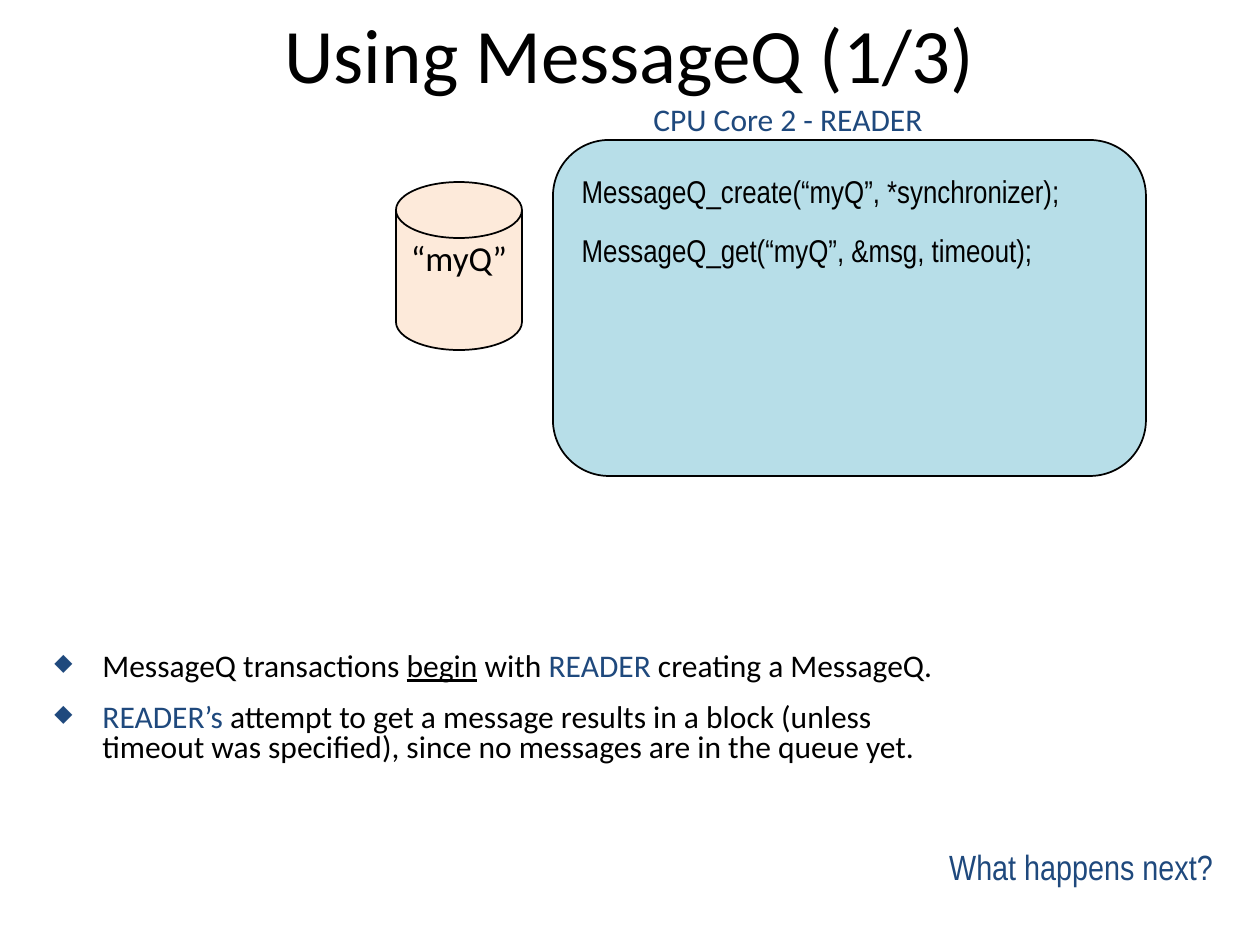
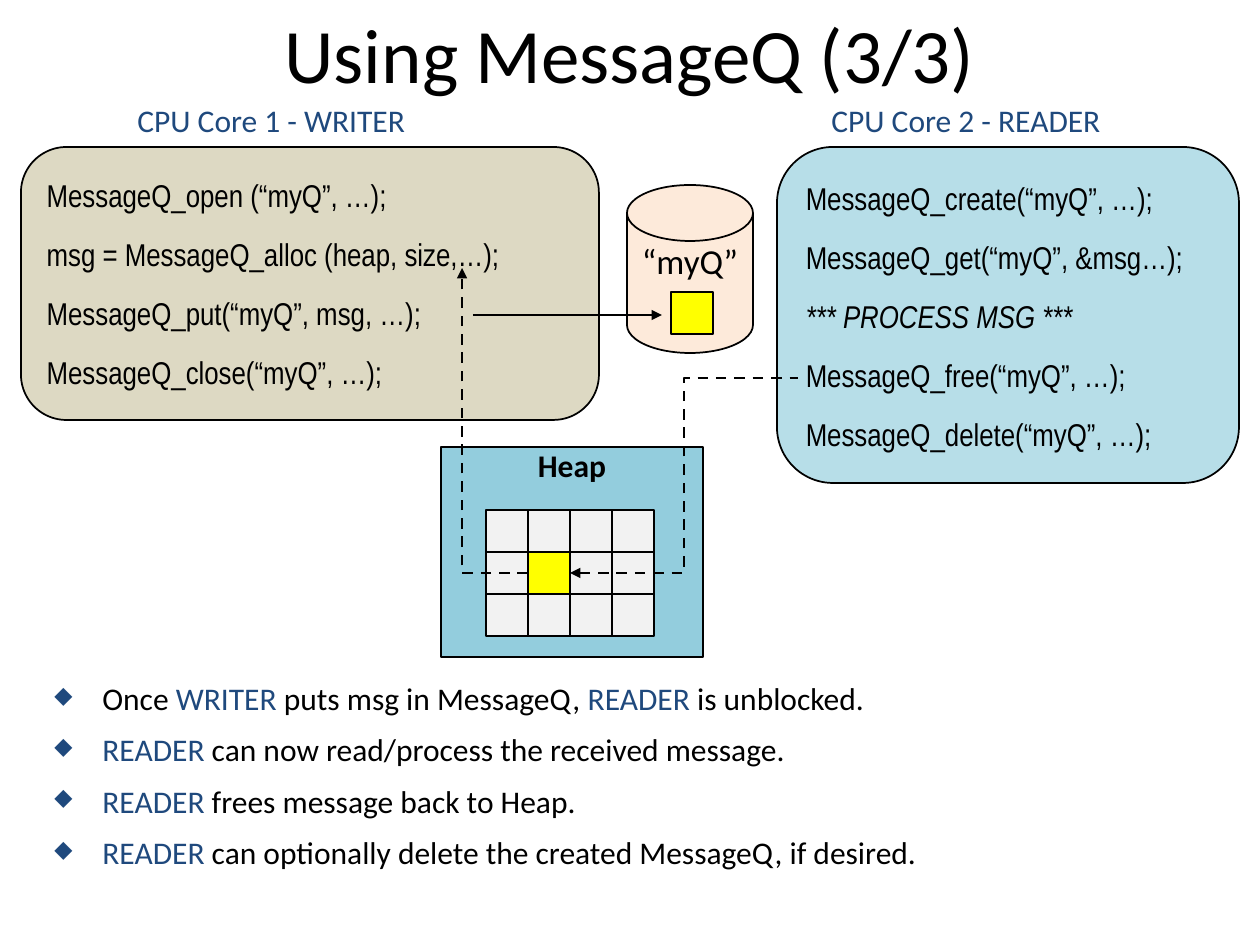
import itertools

import pptx
import pptx.dml.color
import pptx.enum.dml
import pptx.enum.shapes
import pptx.enum.text
import pptx.oxml
import pptx.oxml.ns
import pptx.util

RGBColor = pptx.dml.color.RGBColor
SHAPE = pptx.enum.shapes.MSO_SHAPE
CONNECTOR = pptx.enum.shapes.MSO_CONNECTOR
ALIGN = pptx.enum.text.PP_ALIGN
ANCHOR = pptx.enum.text.MSO_ANCHOR

EMU_PER_PX = 914400 / 126
SLIDE_WIDTH, SLIDE_HEIGHT = 1260, 945

BLACK = RGBColor(0x00, 0x00, 0x00)
NAVY = RGBColor(0x1F, 0x49, 0x7D)
READER_BLUE = RGBColor(0xB7, 0xDE, 0xE8)
WRITER_TAN = RGBColor(0xDD, 0xD9, 0xC3)
QUEUE_PEACH = RGBColor(0xFD, 0xEA, 0xDA)
HEAP_BLUE = RGBColor(0x93, 0xCD, 0xDD)
FREE_GREY = RGBColor(0xF2, 0xF2, 0xF2)
MESSAGE_YELLOW = RGBColor(0xFF, 0xFF, 0x00)

BODY_FONT = "Calibri"
CODE_FONT = "Arial Narrow"
TIGHT = 0.8
CELL = 42
BULLET_INDENT = 48

WRITER_NAME = "CPU Core 1 - WRITER"
READER_NAME = "CPU Core 2 - READER"
ROLES = ("READER", "READER’s", "WRITER")
UNDERLINED = ("begin",)
PROCESSING = "*** PROCESS MSG ***"


def px(length):
    return pptx.util.Emu(round(length * EMU_PER_PX))


def style(paragraph, size, color=BLACK, font=BODY_FONT, bold=None, italic=None):
    paragraph.font.name = font
    paragraph.font.size = pptx.util.Pt(size)
    paragraph.font.color.rgb = color
    paragraph.font.bold = bold
    paragraph.font.italic = italic


def add_text_box(slide, box, anchor):
    frame = slide.shapes.add_textbox(*map(px, box)).text_frame
    frame.word_wrap = True
    frame.vertical_anchor = anchor
    return frame


def add_line_of_text(slide, box, text, size, color=BLACK, align=ALIGN.LEFT):
    frame = add_text_box(slide, box, ANCHOR.MIDDLE)
    paragraph = frame.paragraphs[0]
    paragraph.text = text
    paragraph.alignment = align
    style(paragraph, size, color)


def add_block(slide, kind, box, fill, line_width=1):
    block = slide.shapes.add_shape(kind, *map(px, box))
    block.shadow.inherit = False
    block.fill.solid()
    block.fill.fore_color.rgb = fill
    block.line.color.rgb = BLACK
    block.line.width = pptx.util.Pt(line_width)
    return block


def add_caption(block, text, size, bold=None):
    frame = block.text_frame
    frame.vertical_anchor = ANCHOR.TOP
    paragraph = frame.paragraphs[0]
    paragraph.text = text
    paragraph.alignment = ALIGN.CENTER
    paragraph.line_spacing = TIGHT
    style(paragraph, size, bold=bold)


def add_arrow(slide, kind, begin, end, arrow_end="tailEnd", dashed=False):
    arrow = slide.shapes.add_connector(kind, *map(px, begin + end))
    arrow.line.color.rgb = BLACK
    arrow.line.width = pptx.util.Pt(1.5)
    if dashed:
        arrow.line.dash_style = pptx.enum.dml.MSO_LINE.DASH
    properties = arrow._element.spPr
    outline = properties.find(pptx.oxml.ns.qn("a:ln"))
    outline.append(drawing_element(f'{arrow_end} type="triangle"'))
    properties.append(drawing_element("effectLst"))
    return arrow


def drawing_element(tag):
    return pptx.oxml.parse_xml(f"<a:{tag} {pptx.oxml.ns.nsdecls('a')}/>")


def add_corner_arrow(slide, begin, end):
    """Dashed arrow that runs level from the lower right, then up to the upper left."""
    arrow = add_arrow(slide, CONNECTOR.ELBOW, end, begin, dashed=True)
    properties = arrow._element.spPr
    properties.find(pptx.oxml.ns.qn("a:xfrm")).set("rot", "10800000")
    properties.find(pptx.oxml.ns.qn("a:prstGeom")).set("prst", "bentConnector2")


def add_core(slide, box, fill, name, name_offset, calls):
    """Rounded panel of calls, with the core's name placed relative to it."""
    left, top, _, _ = box
    frame = add_block(slide, SHAPE.ROUNDED_RECTANGLE, box, fill).text_frame
    frame.vertical_anchor = ANCHOR.TOP
    frame.margin_top = px(16)
    for index, call in enumerate(calls):
        paragraph = frame.add_paragraph() if index else frame.paragraphs[0]
        paragraph.text = call
        paragraph.alignment = ALIGN.LEFT
        paragraph.space_before = pptx.util.Pt(12 if index else 0)
        style(paragraph, 18, font=CODE_FONT, italic=call == PROCESSING)
    name_left, name_top = name_offset
    add_line_of_text(slide, (left + name_left, top + name_top, 371, 63), name, 18, NAVY)


def add_queue(slide, left, top, holds_message=False):
    cylinder = add_block(slide, SHAPE.FLOWCHART_MAGNETIC_DISK,
                         (left, top, 126, 168), QUEUE_PEACH)
    add_caption(cylinder, "“myQ”", 20)
    if holds_message:
        add_block(slide, SHAPE.RECTANGLE, (left + 44, top + 107, CELL, CELL),
                  MESSAGE_YELLOW, 1.5)


def add_heap(slide, box):
    left, top, _, _ = box
    add_caption(add_block(slide, SHAPE.RECTANGLE, box, HEAP_BLUE), "Heap", 18, bold=True)

    def add_cell(row, column, fill, line_width):
        cell = (left + 45 + column * CELL, top + 63 + row * CELL, CELL, CELL)
        add_block(slide, SHAPE.RECTANGLE, cell, fill, line_width)

    allocated = (1, 1)
    for position in itertools.product(range(3), range(4)):
        if position != allocated:
            add_cell(*position, FREE_GREY, 1)
    add_cell(*allocated, MESSAGE_YELLOW, 1.5)


def add_bullet(paragraph):
    properties = paragraph._p.get_or_add_pPr()
    properties.set("marL", str(px(BULLET_INDENT)))
    properties.set("indent", str(-px(BULLET_INDENT)))
    color = drawing_element("buClr")
    color.append(drawing_element(f'srgbClr val="{NAVY}"'))
    properties.append(color)
    properties.append(drawing_element('buSzPct val="75000"'))
    properties.append(drawing_element('buChar char="◆"'))


def add_notes_on_flow(slide, box, points):
    """Bulleted points, each a list of pieces; role names are coloured."""
    frame = add_text_box(slide, box, ANCHOR.MIDDLE)
    for index, pieces in enumerate(points):
        paragraph = frame.add_paragraph() if index else frame.paragraphs[0]
        add_bullet(paragraph)
        paragraph.line_spacing = TIGHT
        paragraph.space_before = pptx.util.Pt(12 if index else 0)
        style(paragraph, 18)
        for piece in pieces:
            for number, line in enumerate(piece.split("\n")):
                if number:
                    paragraph.add_line_break()
                run = paragraph.add_run()
                run.text = line
                if piece in ROLES:
                    run.font.color.rgb = NAVY
                if piece in UNDERLINED:
                    run.font.underline = True


def add_question(slide, box):
    frame = add_text_box(slide, box, ANCHOR.BOTTOM)
    frame.margin_left = frame.margin_right = frame.margin_top = frame.margin_bottom = 0
    paragraph = frame.paragraphs[0]
    paragraph.text = "What happens next?"
    paragraph.alignment = ALIGN.RIGHT
    paragraph.line_spacing = TIGHT
    style(paragraph, 20, NAVY, CODE_FONT)


def add_titled_slide(deck, step):
    slide = deck.slides.add_slide(deck.slide_layouts[6])
    add_line_of_text(slide, (63, 0, 1134, 105), f"Using MessageQ ({step}/3)", 44,
                     align=ALIGN.CENTER)
    return slide


def build_create_slide(deck):
    slide = add_titled_slide(deck, 1)
    add_core(slide, (553, 140, 593, 336), READER_BLUE, READER_NAME, (88, -53), [
        "MessageQ_create(“myQ”, *synchronizer);",
        "MessageQ_get(“myQ”, &msg, timeout);",
    ])
    add_notes_on_flow(slide, (42, 631, 1193, 156), [
        ["MessageQ transactions ", "begin", " with ", "READER", " creating a MessageQ."],
        ["READER’s", " attempt to get a message results in a block (unless\n"
         "timeout was specified), since no messages are in the queue yet."],
    ])
    add_queue(slide, 396, 182)
    add_question(slide, (947, 853, 266, 34))


def build_process_slide(deck):
    slide = add_titled_slide(deck, 3)
    add_queue(slide, 627, 185, holds_message=True)
    add_core(slide, (777, 147, 462, 336), READER_BLUE, READER_NAME, (42, -59), [
        "MessageQ_create(“myQ”, …);",
        "MessageQ_get(“myQ”, &msg…);",
        PROCESSING,
        "MessageQ_free(“myQ”, …);",
        "MessageQ_delete(“myQ”, …);",
    ])
    add_core(slide, (21, 147, 578, 273), WRITER_TAN, WRITER_NAME, (104, -59), [
        "MessageQ_open (“myQ”, …);",
        "msg = MessageQ_alloc (heap, size,…);",
        "MessageQ_put(“myQ”, msg, …);",
        "MessageQ_close(“myQ”, …);",
    ])
    add_heap(slide, (441, 447, 262, 210))
    add_corner_arrow(slide, (528, 573), (462, 268))
    add_arrow(slide, CONNECTOR.STRAIGHT, (473, 315), (662, 315))
    add_arrow(slide, CONNECTOR.ELBOW, (570, 573), (798, 378), "headEnd", dashed=True)
    add_notes_on_flow(slide, (42, 659, 1173, 239), [
        ["Once ", "WRITER", " puts msg in MessageQ, ", "READER", " is unblocked."],
        ["READER", " can now read/process the received message."],
        ["READER", " frees message back to Heap."],
        ["READER", " can optionally delete the created MessageQ, if desired."],
    ])


def main():
    deck = pptx.Presentation()
    deck.slide_width, deck.slide_height = px(SLIDE_WIDTH), px(SLIDE_HEIGHT)
    build_create_slide(deck)
    build_process_slide(deck)
    deck.save("out.pptx")


if __name__ == "__main__":
    main()
